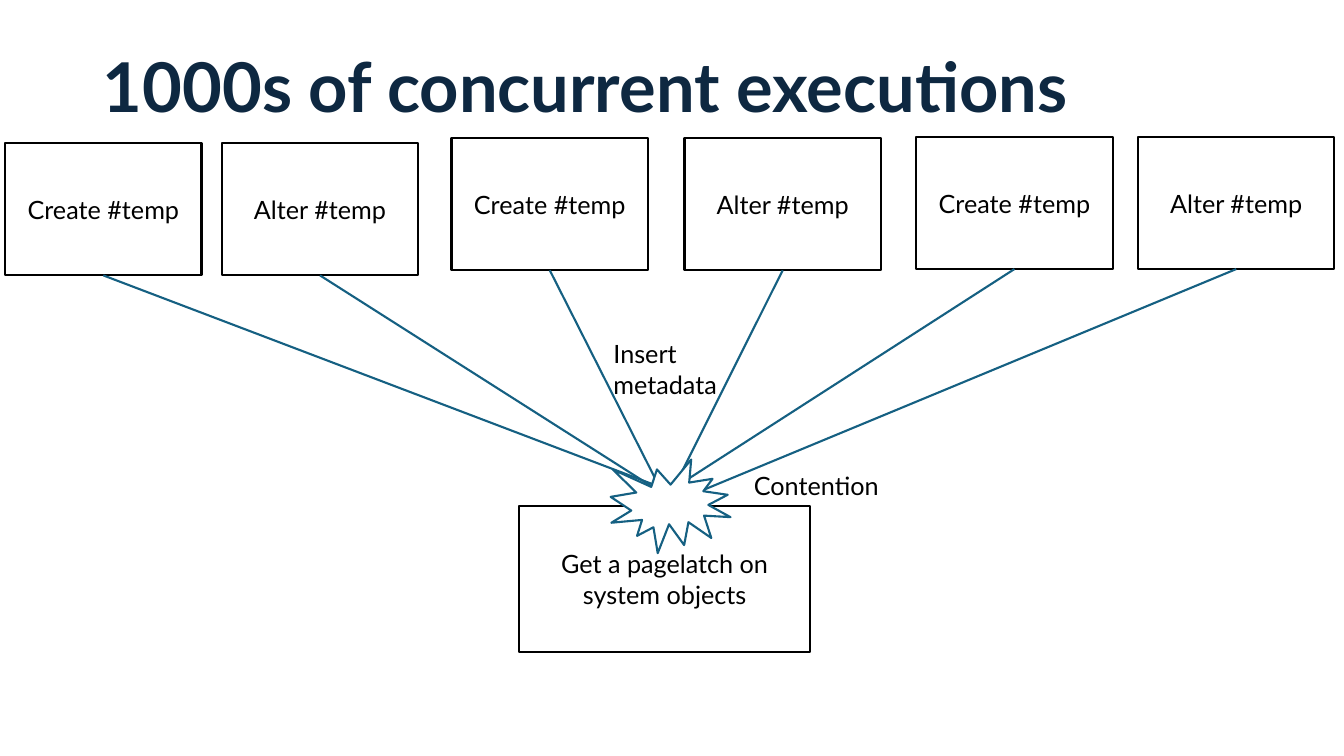
from lxml import etree
from pptx import Presentation
from pptx.dml.color import RGBColor
from pptx.enum.shapes import MSO_CONNECTOR, MSO_SHAPE
from pptx.enum.text import MSO_ANCHOR, MSO_AUTO_SIZE, PP_ALIGN
from pptx.oxml.ns import qn
from pptx.util import Cm, Pt

COLORS = {"white": "FFFFFF", "black": "000000", "navy": "0E2841", "blue": "156082"}
FONT = "Lato"
TOP, BOTTOM = 0, 2

STATEMENTS = [
    ("Create #temp", 0.13, 3.61, (17.55, 12.62)),
    ("Alter #temp", 5.59, 3.61, (17.17, 12.73)),
    ("Create #temp", 11.38, 3.48, (16.81, 12.65)),
    ("Alter #temp", 17.25, 3.48, None),
    ("Create #temp", 23.09, 3.45, (16.64, 12.52)),
    ("Alter #temp", 28.68, 3.45, None),
]


def color(name):
    return RGBColor.from_string(COLORS[name])


def write_text(shape, text, size=18, ink="black", bold=False,
               align=PP_ALIGN.LEFT, anchor=MSO_ANCHOR.TOP,
               auto_size=MSO_AUTO_SIZE.NONE, line_spacing=None):
    frame = shape.text_frame
    frame.word_wrap = True
    frame.auto_size = auto_size
    frame.vertical_anchor = anchor
    paragraph = frame.paragraphs[0]
    paragraph.alignment = align
    paragraph.line_spacing = line_spacing
    run = paragraph.add_run()
    run.text = text
    run.font.name = FONT
    run.font.size = Pt(size)
    run.font.bold = bold
    run.font.color.rgb = color(ink)


def add_title(slide, text):
    title = slide.shapes.title
    title.left, title.top = Cm(2.34), Cm(0.43)
    title.width, title.height = Cm(29.21), Cm(3.68)
    write_text(title, text, size=49, ink="navy", bold=True,
               anchor=MSO_ANCHOR.MIDDLE, line_spacing=0.9)


def add_outlined(slide, kind, left, top, width, height, outline):
    shape = slide.shapes.add_shape(kind, Cm(left), Cm(top), Cm(width), Cm(height))
    shape.shadow.inherit = False
    shape.fill.solid()
    shape.fill.fore_color.rgb = color("white")
    shape.line.color.rgb = color(outline)
    shape.line.width = Pt(1.5)
    return shape


def add_box(slide, text, left, top, width=4.95, height=3.33):
    box = add_outlined(slide, MSO_SHAPE.RECTANGLE, left, top, width, height, "black")
    write_text(box, text, align=PP_ALIGN.CENTER, anchor=MSO_ANCHOR.MIDDLE)
    return box


def add_label(slide, text, left, top, width, height):
    label = slide.shapes.add_textbox(Cm(left), Cm(top), Cm(width), Cm(height))
    write_text(label, text, auto_size=MSO_AUTO_SIZE.SHAPE_TO_FIT_TEXT)


def add_arrow(slide, source, target, end):
    x, y = end or (0, 0)
    arrow = slide.shapes.add_connector(MSO_CONNECTOR.STRAIGHT, 0, 0, Cm(x), Cm(y))
    arrow.begin_connect(source, BOTTOM)
    if end is None:
        arrow.end_connect(target, TOP)
    arrow.line.color.rgb = color("blue")
    arrow.line.width = Pt(1.5)
    etree.SubElement(arrow.line._get_or_add_ln(), qn("a:tailEnd"), type="triangle")
    etree.SubElement(arrow._element.spPr, qn("a:effectLst"))


def main():
    presentation = Presentation()
    presentation.slide_width, presentation.slide_height = Cm(33.87), Cm(19.05)
    slide = presentation.slides.add_slide(presentation.slide_layouts[5])

    add_title(slide, "1000s of concurrent executions")
    latch = add_box(slide, "Get a pagelatch on system objects", 13.08, 12.75, 7.34, 3.68)
    add_label(slide, "Insert metadata", 15.21, 8.41, 4.34, 1.8)
    boxes = [add_box(slide, text, left, top) for text, left, top, _ in STATEMENTS]
    for box, (_, _, _, end) in zip(boxes, STATEMENTS):
        add_arrow(slide, box, latch, end)
    add_outlined(slide, MSO_SHAPE.EXPLOSION1, 15.39, 11.58, 3.02, 2.36, "blue")
    add_label(slide, "Contention", 18.75, 11.73, 6.45, 1.02)

    presentation.save("out.pptx")


if __name__ == "__main__":
    main()
